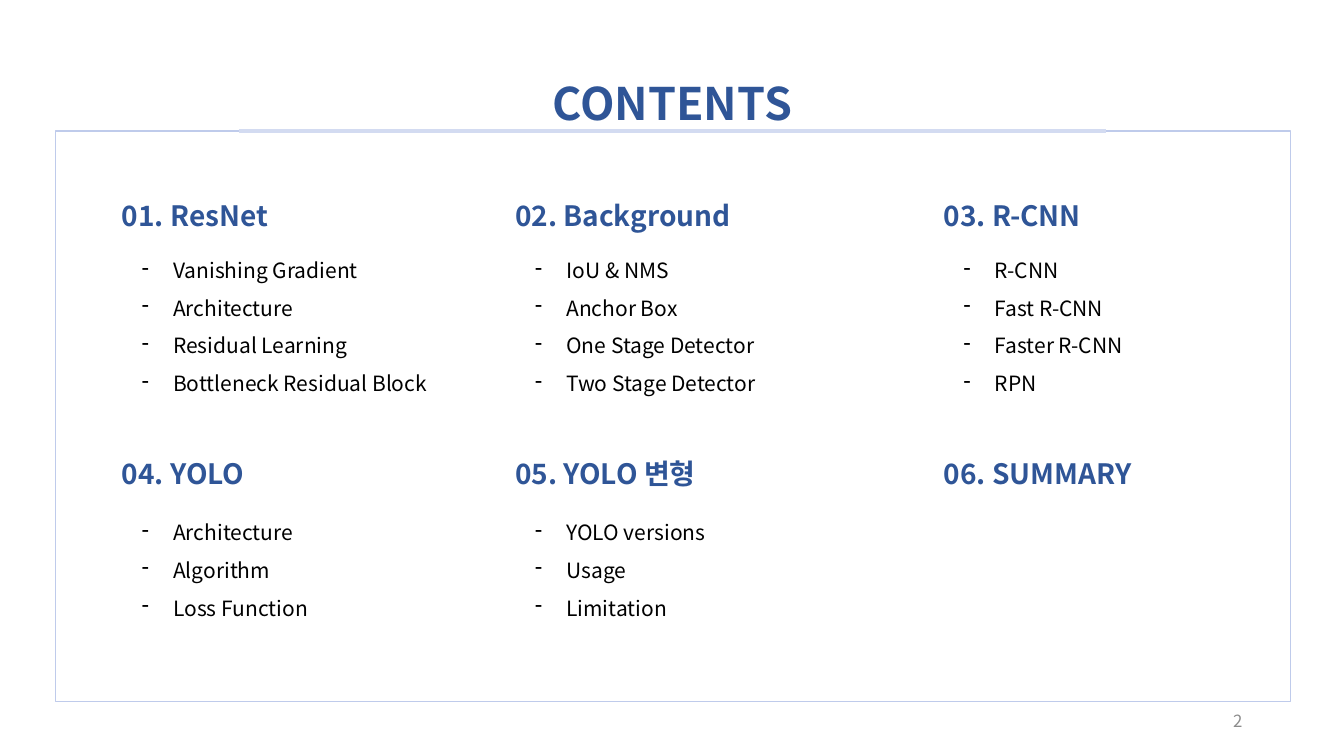
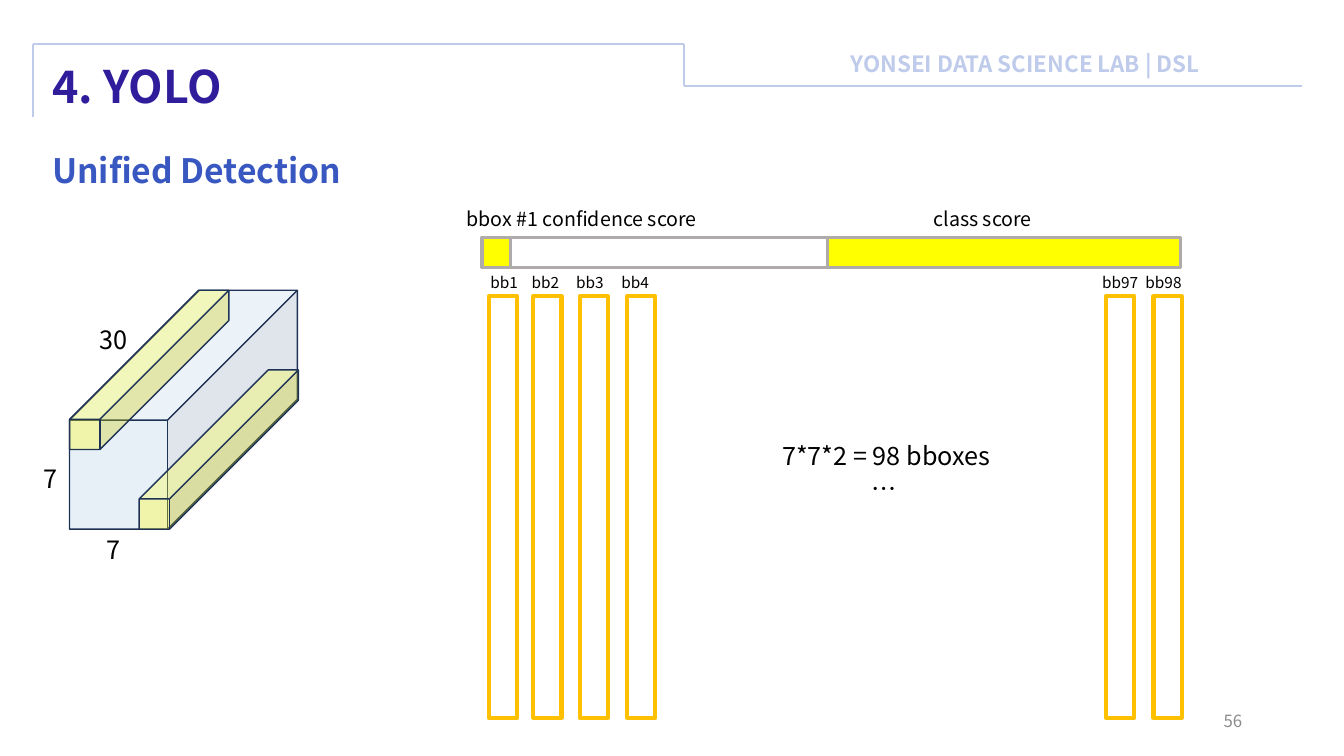
from itertools import pairwise

from lxml import etree
from pptx import Presentation
from pptx.dml.color import RGBColor
from pptx.enum.shapes import MSO_CONNECTOR, MSO_SHAPE
from pptx.enum.text import MSO_ANCHOR, PP_ALIGN
from pptx.oxml.ns import qn
from pptx.util import Inches, Pt

RECT, CUBE = MSO_SHAPE.RECTANGLE, MSO_SHAPE.CUBE
STRAIGHT = MSO_CONNECTOR.STRAIGHT
LEFT, CENTER, RIGHT = PP_ALIGN.LEFT, PP_ALIGN.CENTER, PP_ALIGN.RIGHT
TOP, MIDDLE = MSO_ANCHOR.TOP, MSO_ANCHOR.MIDDLE

FACE = "Noto Sans CJK KR"
BLACK = "000000"
NAVY = "2F5597"
VIOLET = "2F1D9C"
BLUE = "3857C1"
PALE = "BFCBEB"
BAND = "D3DBF1"
INK = "1E3256"
SKY = "ACC8E2"
YELLOW = "FFFF00"
GOLD = "FFC000"
GRAY = "AFABAB"
DIM = "8C8C8C"


def paint(code):
    return RGBColor.from_string(code)


class Deck:
    def __init__(self):
        self.show = Presentation()
        self.show.slide_width = Inches(13.33)
        self.show.slide_height = Inches(7.5)
        self.slide = None

    def page(self, number, title, box, color, align=LEFT):
        self.slide = self.show.slides.add_slide(self.show.slide_layouts[5])
        shape = self.slide.shapes.title
        shape.left, shape.top, shape.width, shape.height = map(Inches, box)
        self.fill(shape, [title], 32, color, True, align)
        self.text((9.42, 6.95, 3, 0.4), number, 12, DIM, align=RIGHT, anchor=MIDDLE)

    def fill(self, shape, lines, size, color, bold=False, align=LEFT,
             anchor=TOP, space=1, dash=False):
        frame = shape.text_frame
        frame.word_wrap = True
        frame.vertical_anchor = anchor
        frame.text = "\n".join(lines)
        for para in frame.paragraphs:
            para.alignment = align
            para.line_spacing = space
            if dash:
                props = para._p.get_or_add_pPr()
                props.set("marL", str(Inches(0.31)))
                props.set("indent", str(Inches(-0.31)))
                etree.SubElement(props, qn("a:buChar"), char="-")
            font = para.font
            font.size = Pt(size)
            font.bold = bold
            font.color.rgb = paint(color)
            font.name = FACE
            base = para._p.pPr.find(qn("a:defRPr"))
            etree.SubElement(base, qn("a:ea"), typeface=FACE)

    def text(self, box, words, size, color=BLACK, **style):
        shape = self.slide.shapes.add_textbox(*map(Inches, box))
        self.fill(shape, [words], size, color, **style)
        return shape

    def list(self, box, lines):
        shape = self.slide.shapes.add_textbox(*map(Inches, box))
        self.fill(shape, lines, 15, BLACK, space=1.5, dash=True)

    def shape(self, kind, box, line, width, fill=None, alpha=None):
        shape = self.slide.shapes.add_shape(kind, *map(Inches, box))
        shape.shadow.inherit = False
        shape.line.color.rgb = paint(line)
        shape.line.width = Pt(width)
        if fill is None:
            shape.fill.background()
        else:
            shape.fill.solid()
            shape.fill.fore_color.rgb = paint(fill)
        if alpha is not None:
            tint = shape._element.spPr.find(qn("a:solidFill"))[0]
            etree.SubElement(tint, qn("a:alpha"), val=str(alpha * 1000))
        return shape

    def cube(self, box, depth, fill, alpha):
        self.shape(CUBE, box, INK, 1, fill, alpha).adjustments[0] = depth

    def line(self, start, end, color, width):
        line = self.slide.shapes.add_connector(STRAIGHT, *map(Inches, start + end))
        line.line.color.rgb = paint(color)
        line.line.width = Pt(width)
        etree.SubElement(line._element.spPr, qn("a:effectLst"))


def contents(deck):
    deck.page("2", "CONTENTS", (4.84, 0.7, 3.66, 0.64), NAVY, CENTER)
    deck.shape(RECT, (0.55, 1.3, 12.25, 5.66), PALE, 1)
    deck.line((2.37, 1.3), (10.97, 1.3), BAND, 3)
    parts = [
        ("ResNet", ["Vanishing Gradient", "Architecture", "Residual Learning",
                    "Bottleneck Residual Block"]),
        ("Background", ["IoU & NMS", "Anchor Box", "One Stage Detector",
                        "Two Stage Detector"]),
        ("R-CNN", ["R-CNN", "Fast R-CNN", "Faster R-CNN", "RPN"]),
        ("YOLO", ["Architecture", "Algorithm", "Loss Function"]),
        ("YOLO 변형", ["YOLO versions", "Usage", "Limitation"]),
        ("SUMMARY", []),
    ]
    cols = (1.11, 5.01, 9.26)
    rows = ((1.92, 2.38), (4.48, 4.98))
    for i, (name, items) in enumerate(parts):
        left = cols[i % 3]
        top, below = rows[i // 3]
        deck.text((left, top, 3.4, 0.44), f"{i + 1:02}. {name}", 20, NAVY, bold=True)
        if items:
            deck.list((left + 0.2, below, 3.2, 0.06 + 0.38 * len(items)), items)


def yolo(deck):
    deck.page("56", "4. YOLO", (0.42, 0.53, 4.81, 0.64), VIOLET)
    deck.text((8.34, 0.45, 3.76, 0.37), "YONSEI DATA SCIENCE LAB | DSL", 16, PALE,
              bold=True)
    frame = [(0.33, 1.16), (0.33, 0.44), (6.78, 0.44), (6.78, 0.85), (12.91, 0.85)]
    for start, end in pairwise(frame):
        deck.line(start, end, PALE, 1.5)
    deck.text((0.42, 1.44, 10.12, 0.5), "Unified Detection", 24, BLUE, bold=True)

    deck.cube((0.69, 2.88, 2.26, 2.37), 0.57, SKY, 27)
    for left, top in ((0.69, 2.88), (1.38, 3.67)):
        deck.cube((left, top, 1.58, 1.58), 0.81, YELLOW, 31)
    for left, top, size in ((0.96, 5.25, "7"), (0.33, 4.55, "7"), (0.89, 3.17, "30")):
        deck.text((left, top, 0.76, 0.4), size, 18)

    for left, width, fill in ((4.78, 6.93, None), (4.78, 0.28, YELLOW),
                              (8.21, 3.5, YELLOW)):
        deck.shape(RECT, (left, 2.36, width, 0.29), GRAY, 2.25, fill)
    for left, label in ((4.53, "bbox #1 confidence score"), (9.16, "class score")):
        deck.text((left, 1.89, 3, 0.42), label, 14, space=1.5)

    bars = [(1, 4.85, 5), (2, 5.29, 5.41), (3, 5.75, 5.85), (4, 6.22, 6.3),
            (97, 10.97, 11.11), (98, 11.44, 11.54)]
    for number, left, mid in bars:
        deck.shape(RECT, (left, 2.94, 0.28, 4.18), GOLD, 3)
        label = deck.text((mid - 0.21, 2.66, 0.42, 0.29), f"bb{number}", 11,
                          align=CENTER)
        label.text_frame.margin_left = label.text_frame.margin_right = 0
    deck.text((7.66, 4.32, 2.41, 0.4), "7*7*2 = 98 bboxes", 18)
    deck.text((8.55, 4.65, 0.49, 0.4), "…", 18)


def main():
    deck = Deck()
    contents(deck)
    yolo(deck)
    deck.show.save("out.pptx")


if __name__ == "__main__":
    main()
